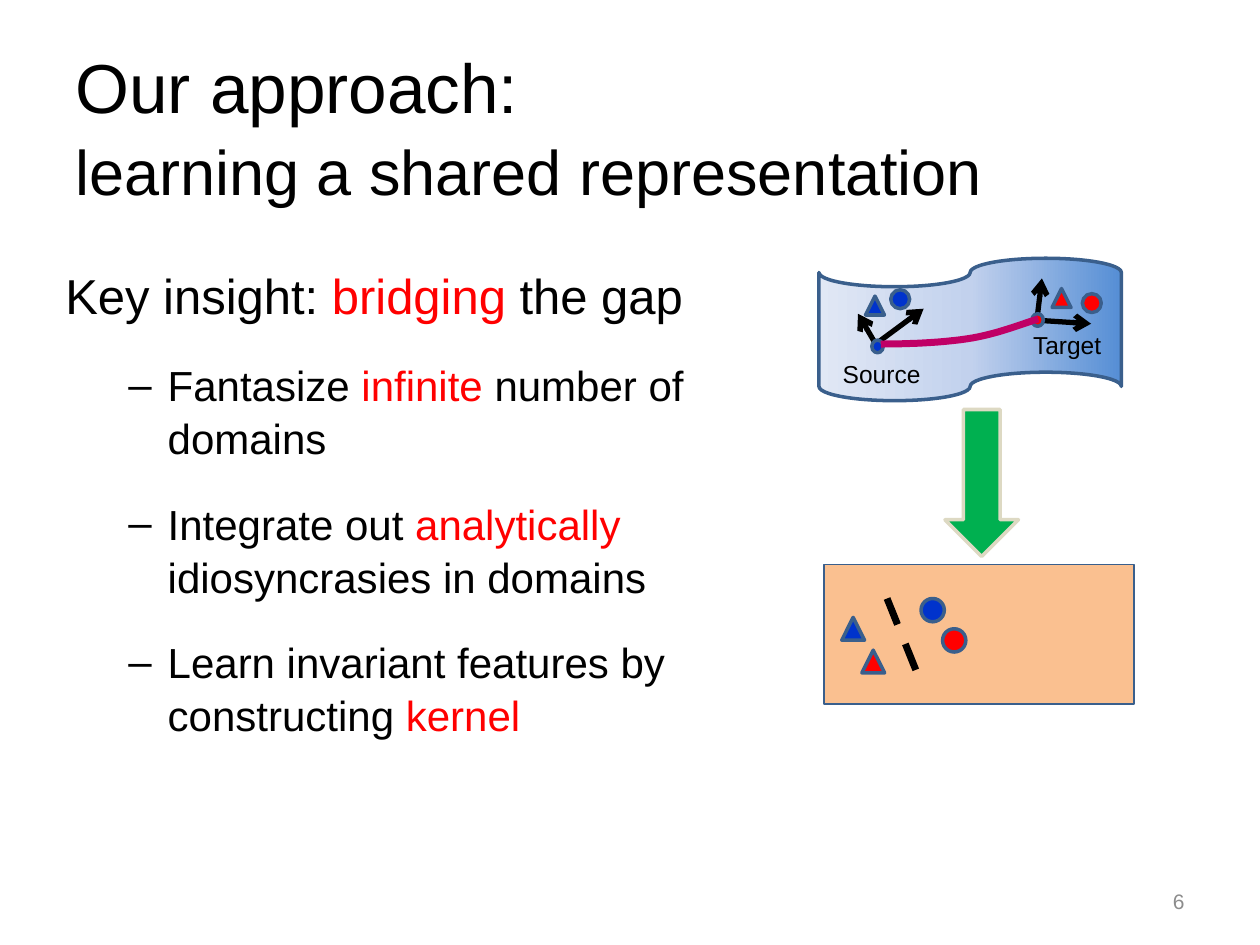
from lxml import etree
from pptx import Presentation
from pptx.dml.color import RGBColor
from pptx.enum.dml import MSO_LINE
from pptx.enum.shapes import MSO_CONNECTOR, MSO_SHAPE
from pptx.enum.text import MSO_ANCHOR, PP_ALIGN
from pptx.oxml.ns import qn
from pptx.util import Pt

STRAIGHT = MSO_CONNECTOR.STRAIGHT
DASH = MSO_LINE.DASH
OVAL, TRIANGLE = MSO_SHAPE.OVAL, MSO_SHAPE.ISOSCELES_TRIANGLE
NODE, TAPE = MSO_SHAPE.FLOWCHART_CONNECTOR, MSO_SHAPE.FLOWCHART_PUNCHED_TAPE
DOWN_ARROW, RECTANGLE = MSO_SHAPE.DOWN_ARROW, MSO_SHAPE.RECTANGLE
TOP, MIDDLE = MSO_ANCHOR.TOP, MSO_ANCHOR.MIDDLE
LEFT, RIGHT = PP_ALIGN.LEFT, PP_ALIGN.RIGHT
COLORS = {
    "text": "000000", "highlight": "FF0000", "number": "8C8C8C",
    "source": "0033CC", "target": "FF0000", "outline": "3A5F8C",
    "arrow": "00B050", "arrow_line": "DDD9C3", "kernel": "FAC090",
    "path": "C00066", "tape_light": "E1E8F5", "tape_mid": "C2D1ED",
    "tape_dark": "558ED5",
}

presentation = Presentation()
presentation.slide_width, presentation.slide_height = Pt(720), Pt(540)
slide = presentation.slides.add_slide(presentation.slide_layouts[6])
shapes = slide.shapes


def add_text(box, paragraphs, anchor=TOP, align=LEFT, wrap=True):
    text_frame = shapes.add_textbox(*map(Pt, box)).text_frame
    text_frame.word_wrap = wrap
    text_frame.vertical_anchor = anchor
    for index, (size, parts) in enumerate(paragraphs):
        paragraph = text_frame.paragraphs[0] if index == 0 else text_frame.add_paragraph()
        paragraph.alignment = align
        for text, color in parts:
            run = paragraph.add_run()
            run.text = text
            run.font.name = "Arial"
            run.font.size = Pt(size)
            run.font.color.rgb = RGBColor.from_string(COLORS[color])
    return text_frame.paragraphs


def add_filled(kind, box, fill, line="outline", width=2):
    shape = shapes.add_shape(kind, *map(Pt, box))
    shape.shadow.inherit = False
    shape.fill.solid()
    shape.fill.fore_color.rgb = RGBColor.from_string(COLORS[fill])
    shape.line.color.rgb = RGBColor.from_string(COLORS[line])
    shape.line.width = Pt(width)
    return shape


add_filled(DOWN_ARROW, (540, 234, 42, 84), "arrow", "arrow_line")

title = add_text((36, 21.6, 648, 90), [
    (39.6, [("Our approach:", "text")]),
    (36, [("learning a shared representation", "text")]),
])
title[1].space_before = Pt(3)

body = add_text((30.24, 146.6, 414, 310), [
    (28, [("Key insight: ", "text"), ("bridging", "highlight"), (" the gap", "text")]),
    (24, [("Fantasize ", "text"), ("infinite", "highlight"), (" number of domains", "text")]),
    (24, [("Integrate out ", "text"), ("analytically", "highlight"),
          (" idiosyncrasies in domains", "text")]),
    (24, [("Learn invariant features by constructing ", "text"), ("kernel", "highlight")]),
])
for index, paragraph in enumerate(body):
    paragraph.line_spacing = 1.05
    if index > 0:
        paragraph.space_before = Pt(18.7)
        properties = paragraph._p.get_or_add_pPr()
        properties.set("marL", str(Pt(58.5)))
        properties.set("indent", str(Pt(-22.5)))
        etree.SubElement(properties, qn("a:buFont"), typeface="Arial")
        etree.SubElement(properties, qn("a:buChar"), char="–")

add_text((516, 500.4, 168, 28.8), [(12, [("6", "number")])], MIDDLE, RIGHT)

tape = add_filled(TAPE, (468, 147.6, 172.8, 81.4), "tape_mid")
tape.fill.gradient()
tape.fill.gradient_angle = 0
stop_list = tape._element.spPr.find(qn("a:gradFill")).find(qn("a:gsLst"))
etree.SubElement(stop_list, qn("a:gs"), pos="100000").append(
    etree.Element(qn("a:srgbClr"), val=COLORS["tape_dark"]))
for stop, position, name in zip(tape.fill.gradient_stops, (0, 0.5, 1),
                                ("tape_light", "tape_mid", "tape_dark")):
    stop.position = position
    stop.color.rgb = RGBColor.from_string(COLORS[name])

for label, left, top, width in (("Target", 583.2, 185, 56.9), ("Source", 474.5, 201.6, 74.2)):
    add_text((left, top, width, 23), [(14, [(label, "text")])], wrap=False)

add_filled(RECTANGLE, (470.9, 322.6, 177.1, 79.9), "kernel", width=1)

for ends, width, dashed in (
    ((500.4, 196.6, 527.8, 176.4), 3, False),
    ((500.4, 196.6, 490.3, 179.3), 3, False),
    ((591.1, 182.9, 623.5, 185), 3, False),
    ((592.6, 182.2, 595.4, 159.1), 3, False),
    ((506.9, 342, 526.3, 390.2), 4, True),
):
    connector = shapes.add_connector(STRAIGHT, *map(Pt, ends))
    connector.line.color.rgb = RGBColor.from_string(COLORS["text"])
    connector.line.width = Pt(width)
    if dashed:
        connector.line.dash_style = DASH
    else:
        etree.SubElement(connector.line._get_or_add_ln(), qn("a:tailEnd"), type="arrow")
    etree.SubElement(connector._element.spPr, qn("a:effectLst"))

for left, top, color in ((498.2, 194.4, "source"), (589.7, 179.3, "target")):
    add_filled(NODE, (left, top, 6.5, 7.2), color)

curves = (
    ((503.3, 196.6), (520.6, 196.6), (537.8, 195.8), (552.2, 193.7)),
    ((552.2, 193.7), (567.4, 191.5), (580.3, 186.5), (593.3, 182.2)),
)
points = []
for curve in curves:
    for step in range(1, 13):
        t = step / 12
        weights = ((1 - t) ** 3, 3 * t * (1 - t) ** 2, 3 * t ** 2 * (1 - t), t ** 3)
        points.append(tuple(Pt(sum(w * point[axis] for w, point in zip(weights, curve)))
                            for axis in (0, 1)))
builder = shapes.build_freeform(Pt(503.3), Pt(196.6))
builder.add_line_segments(points, close=False)
path = builder.convert_to_shape()
path.shadow.inherit = False
path.fill.background()
path.line.color.rgb = RGBColor.from_string(COLORS["path"])
path.line.width = Pt(4)

for kind, left, top, size, color in (
    (OVAL, 618.5, 167.8, 10.8, "target"),
    (TRIANGLE, 601.2, 164.9, 10.8, "target"),
    (TRIANGLE, 494.6, 169.2, 10.8, "source"),
    (OVAL, 509, 165.6, 10.8, "source"),
    (OVAL, 526.3, 342, 13.3, "source"),
    (OVAL, 538.6, 359.3, 13.3, "target"),
    (TRIANGLE, 492.5, 371.5, 13, "target"),
    (TRIANGLE, 481, 352.8, 13, "source"),
):
    add_filled(kind, (left, top, size, size), color)

presentation.save("out.pptx")
